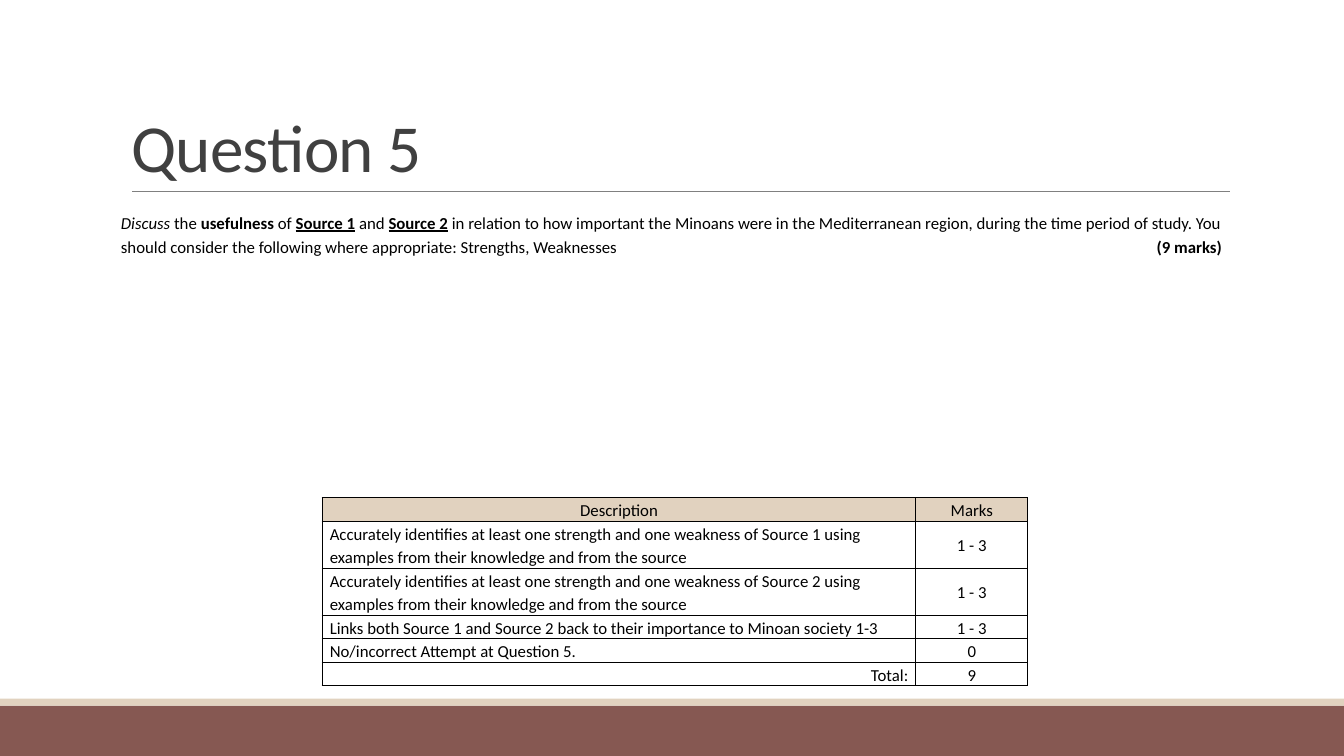
import pptx
import pptx.util
import pptx.dml.color
import pptx.enum.shapes
import pptx.enum.text
import pptx.oxml
import pptx.oxml.ns
import lxml.etree

Pt = pptx.util.Pt
ALIGN = pptx.enum.text.PP_ALIGN
ANCHOR = pptx.enum.text.MSO_ANCHOR
FONT = "Calibri"
COLOURS = {
    "title": "404040",
    "text": "000000",
    "rule": "808080",
    "band": "865852",
    "sand": "E1D2BF",
}
QUESTION = [
    ("Discuss", "i"),
    (" the ", ""),
    ("usefulness", "b"),
    (" of ", ""),
    ("Source 1", "bu"),
    (" and ", ""),
    ("Source 2", "bu"),
    (" in relation to how important the Minoans were in the Mediterranean region, "
     "during the time period of study. You should consider the following where "
     "appropriate: Strengths, Weaknesses\t", ""),
    ("(9 marks)", "b"),
]
CRITERION = ("Accurately identifies at least one strength and one weakness of {} "
             "using examples from their knowledge and from the source")
MARKING = [
    ("Description", "Marks", 1),
    (CRITERION.format("Source 1"), "1 - 3", 2),
    (CRITERION.format("Source 2"), "1 - 3", 2),
    ("Links both Source 1 and Source 2 back to their importance to Minoan society 1-3",
     "1 - 3", 1),
    ("No/incorrect Attempt at Question 5.", "0", 1),
    ("Total:", "9", 1),
]


def colour(name):
    return pptx.dml.color.RGBColor.from_string(COLOURS[name])


def add_span(para, text, size=12, shade="text", style=""):
    span = para.add_run()
    span.text = text
    span.font.name = FONT
    span.font.size = Pt(size)
    span.font.color.rgb = colour(shade)
    span.font.bold = "b" in style
    span.font.italic = "i" in style
    span.font.underline = "u" in style
    return span


def add_bar(page, left, top, width, height, shade):
    bar = page.shapes.add_shape(pptx.enum.shapes.MSO_SHAPE.RECTANGLE,
                                Pt(left), Pt(top), Pt(width), Pt(height))
    bar.shadow.inherit = False
    bar.fill.solid()
    bar.fill.fore_color.rgb = colour(shade)
    bar.line.fill.background()


def add_footer(page, left, top, width, height):
    strip = 5
    add_bar(page, left, top + strip, width, height - strip, "band")
    add_bar(page, left, top, width, strip, "sand")


def add_title(page, left, top, width, height):
    title = page.shapes.title
    title.left, title.top, title.width, title.height = map(Pt, (left, top, width, height))
    frame = title.text_frame
    frame.word_wrap = True
    frame.auto_size = pptx.enum.text.MSO_AUTO_SIZE.NONE
    frame.vertical_anchor = ANCHOR.BOTTOM
    para = frame.paragraphs[0]
    para.alignment = ALIGN.LEFT
    para.line_spacing = 0.85
    span = add_span(para, "Question 5", 48, "title")
    span.font._element.set("spc", "-50")

    bottom = Pt(top + height)
    rule = page.shapes.add_connector(pptx.enum.shapes.MSO_CONNECTOR.STRAIGHT,
                                     Pt(left + 8), bottom, Pt(left + width), bottom)
    rule.line.color.rgb = colour("rule")
    rule.line.width = Pt(0.5)
    lxml.etree.SubElement(rule._element.spPr, pptx.oxml.ns.qn("a:effectLst"))


def add_question(page, left, top, width, height):
    box = page.shapes.add_textbox(Pt(left), Pt(top), Pt(width), Pt(height))
    frame = box.text_frame
    frame.word_wrap = True
    frame.margin_left = frame.margin_right = 0
    para = frame.paragraphs[0]
    para.line_spacing = 1.2
    para.space_after = Pt(6)
    tabs = lxml.etree.SubElement(para._p.get_or_add_pPr(), pptx.oxml.ns.qn("a:tabLst"))
    lxml.etree.SubElement(tabs, pptx.oxml.ns.qn("a:tab"),
                          pos=str(Pt(width - 5.5)), algn="r")
    for text, style in QUESTION:
        add_span(para, text, style=style)


def add_borders(cell):
    properties = cell._tc.get_or_add_tcPr()
    for index, side in enumerate(("lnL", "lnR", "lnT", "lnB")):
        border = pptx.oxml.parse_xml(
            f'<a:{side} {pptx.oxml.ns.nsdecls("a")} w="{Pt(1)}"><a:solidFill>'
            f'<a:srgbClr val="{COLOURS["text"]}"/></a:solidFill></a:{side}>')
        properties.insert(index, border)


def fill_cell(cell, text, align, header):
    cell.margin_left = cell.margin_right = Pt(5.4)
    cell.margin_top = cell.margin_bottom = 0
    cell.vertical_anchor = ANCHOR.MIDDLE
    if header:
        cell.fill.solid()
        cell.fill.fore_color.rgb = colour("sand")
    else:
        cell.fill.background()
    add_borders(cell)
    para = cell.text_frame.paragraphs[0]
    para.alignment = align
    para.line_spacing = 1.15
    add_span(para, text)


def add_marking(page, left, top, width, line_height):
    lines = sum(count for _, _, count in MARKING)
    table = page.shapes.add_table(len(MARKING), 2, Pt(left), Pt(top), Pt(width),
                                  Pt(lines * line_height)).table
    table.first_row = table.horz_banding = False
    marks_width = 80
    table.columns[0].width = Pt(width - marks_width)
    table.columns[1].width = Pt(marks_width)
    alignments = {0: ALIGN.CENTER, len(MARKING) - 1: ALIGN.RIGHT}
    for index, (description, marks, count) in enumerate(MARKING):
        table.rows[index].height = Pt(count * line_height)
        align = alignments.get(index, ALIGN.LEFT)
        fill_cell(table.cell(index, 0), description, align, index == 0)
        fill_cell(table.cell(index, 1), marks, ALIGN.CENTER, index == 0)


def main():
    deck = pptx.Presentation()
    deck.slide_width, deck.slide_height = Pt(960), Pt(540)
    page = deck.slides.add_slide(deck.slide_layouts[5])
    add_footer(page, 0, 499, 960, 41)
    add_title(page, 86.4, 22.5, 792, 114.2)
    add_question(page, 86.4, 145.4, 792, 316.8)
    add_marking(page, 230.2, 355.5, 504, 16.8)
    deck.save("out.pptx")


if __name__ == "__main__":
    main()
